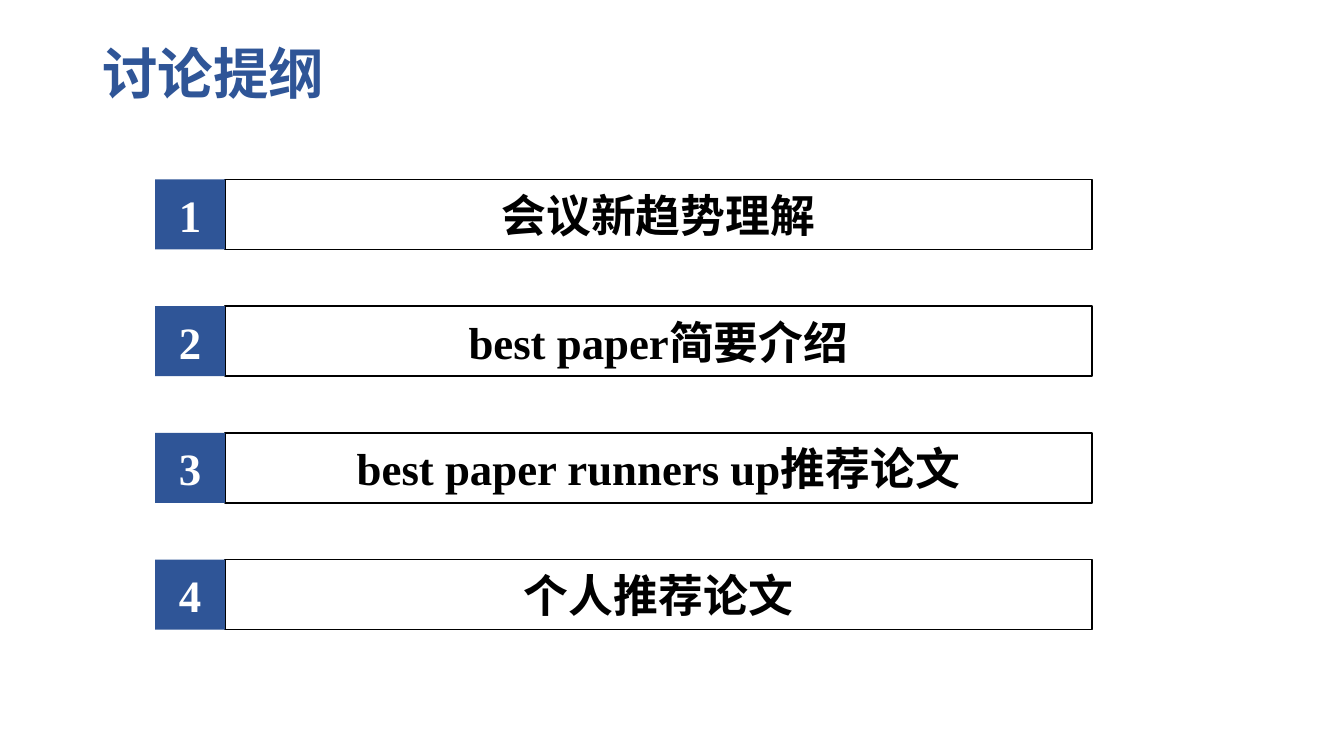
from dataclasses import dataclass

from lxml.etree import SubElement
from pptx import Presentation
from pptx.dml.color import RGBColor
from pptx.enum.shapes import MSO_SHAPE
from pptx.enum.text import MSO_ANCHOR, MSO_AUTO_SIZE, PP_ALIGN
from pptx.oxml.ns import qn
from pptx.shapes.autoshape import Shape
from pptx.slide import Slide
from pptx.text.text import TextFrame
from pptx.util import Pt


@dataclass(frozen=True)
class Theme:
    blue: RGBColor = RGBColor(0x2F, 0x55, 0x97)
    black: RGBColor = RGBColor(0, 0, 0)
    white: RGBColor = RGBColor(255, 255, 255)
    latin: str = "Times New Roman"
    cjk: str = "Noto Sans CJK SC"
    title_size: float = 39.6
    item_size: float = 32


@dataclass(frozen=True)
class Box:
    left: float
    top: float
    width: float
    height: float


@dataclass(frozen=True)
class AgendaItem:
    number: int
    text: str


THEME = Theme()
ITEMS = [
    AgendaItem(1, "会议新趋势理解"),
    AgendaItem(2, "best paper简要介绍"),
    AgendaItem(3, "best paper runners up推荐论文"),
    AgendaItem(4, "个人推荐论文"),
]
FIRST_TOP, ROW_PITCH, ROW_HEIGHT = 128.2, 90.5, 50
NUMBER_LEFT, NUMBER_WIDTH = 110.9, 49.7
LABEL_LEFT, LABEL_WIDTH = NUMBER_LEFT + NUMBER_WIDTH, 619.5


def write(tf: TextFrame, text: str, *, size: float, color: RGBColor,
          latin: str = THEME.latin, align: PP_ALIGN = PP_ALIGN.CENTER,
          line_spacing: float = 1.0) -> None:
    tf.word_wrap = True
    tf.auto_size = MSO_AUTO_SIZE.NONE
    tf.vertical_anchor = MSO_ANCHOR.MIDDLE
    p = tf.paragraphs[0]
    p.alignment = align
    p.line_spacing = line_spacing
    r = p.add_run()
    r.text = text
    r.font.size = Pt(size)
    r.font.bold = True
    r.font.color.rgb = color
    r.font.name = latin
    SubElement(r.font._element, qn("a:ea"), typeface=THEME.cjk)


def place(sp: Shape, box: Box) -> None:
    sp.left, sp.top = Pt(box.left), Pt(box.top)
    sp.width, sp.height = Pt(box.width), Pt(box.height)


def add_title(s: Slide, text: str) -> None:
    sp = s.shapes.title
    place(sp, Box(66, 28.8, 828, 52))
    write(sp.text_frame, text, size=THEME.title_size, color=THEME.blue,
          latin=THEME.cjk, align=PP_ALIGN.LEFT, line_spacing=0.9)


def add_block(s: Slide, box: Box, text: str, fill: RGBColor,
              color: RGBColor, line: RGBColor | None = None) -> None:
    sp = s.shapes.add_shape(MSO_SHAPE.RECTANGLE, Pt(box.left), Pt(box.top),
                            Pt(box.width), Pt(box.height))
    sp.shadow.inherit = False
    sp.fill.solid()
    sp.fill.fore_color.rgb = fill
    if line is None:
        sp.line.fill.background()
    else:
        sp.line.color.rgb = line
        sp.line.width = Pt(1)
    write(sp.text_frame, text, size=THEME.item_size, color=color)


def add_agenda_row(s: Slide, item: AgendaItem) -> None:
    top = FIRST_TOP + (item.number - 1) * ROW_PITCH
    add_block(s, Box(LABEL_LEFT, top, LABEL_WIDTH, ROW_HEIGHT), item.text,
              THEME.white, THEME.black, THEME.black)
    add_block(s, Box(NUMBER_LEFT, top, NUMBER_WIDTH, ROW_HEIGHT),
              str(item.number), THEME.blue, THEME.white)


def main() -> None:
    prs = Presentation()
    prs.slide_width, prs.slide_height = Pt(960), Pt(540)
    s = prs.slides.add_slide(prs.slide_layouts.get_by_name("Title Only"))
    add_title(s, "讨论提纲")
    for item in ITEMS:
        add_agenda_row(s, item)
    prs.save("out.pptx")


if __name__ == "__main__":
    main()
